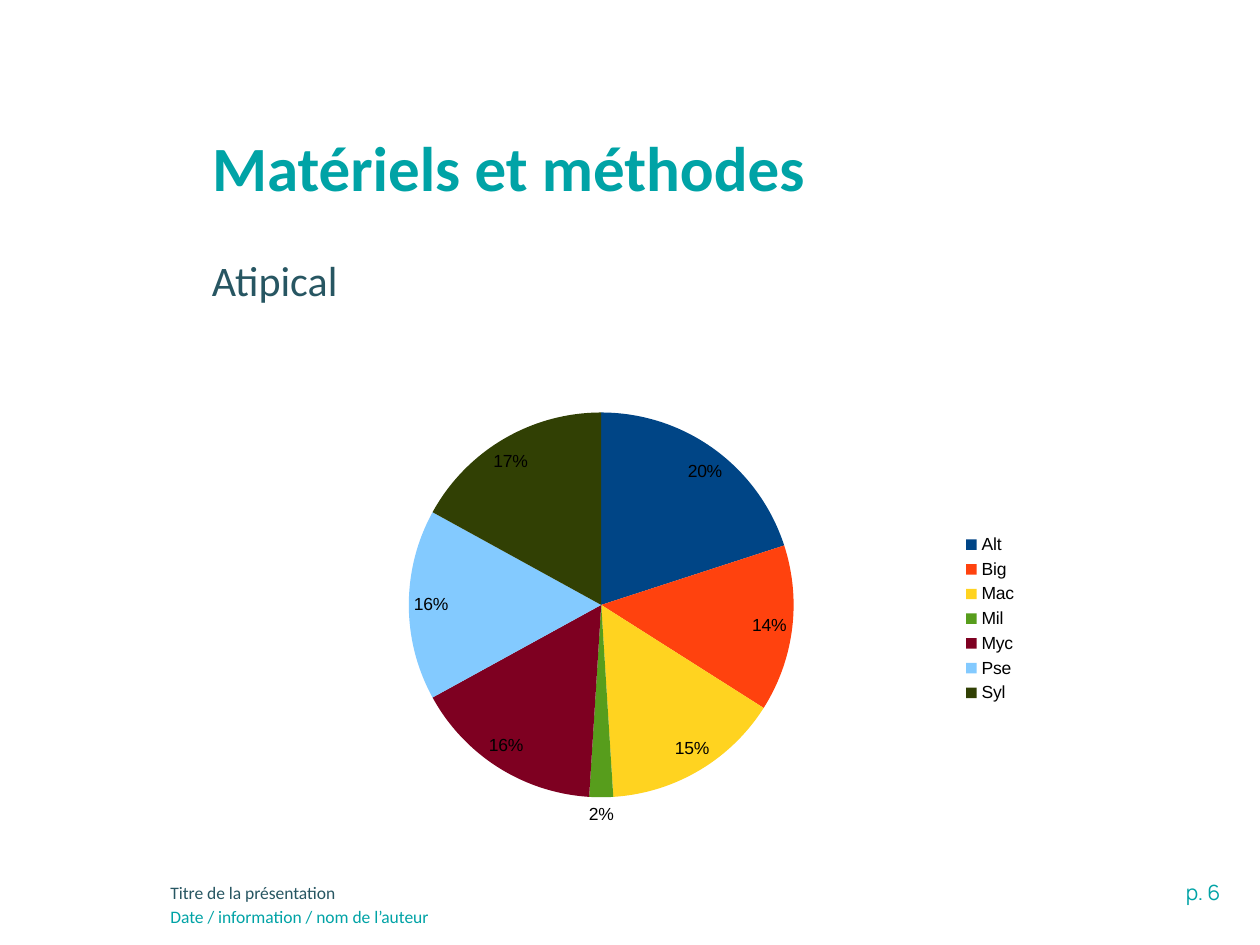
from lxml import etree
from pptx import Presentation, util as u
from pptx.chart.data import CategoryChartData
from pptx.dml.color import RGBColor
from pptx.enum import chart as ch, text
from pptx.oxml import ns

PX = 914400 // 126
TEAL, SLATE, BLACK = "00A3A6", "275662", "000000"
SPECIES = [("Alt", 20, "004586"), ("Big", 14, "FF420E"), ("Mac", 15, "FFD320"),
           ("Mil", 2, "579D1C"), ("Myc", 16, "7E0021"), ("Pse", 16, "83CAFF"),
           ("Syl", 17, "314004")]


def px(value):
    return u.Emu(value * PX)


def style_font(font, size, color, name="Calibri", bold=False):
    font.size, font.name, font.bold = u.Pt(size), name, bold
    font.color.rgb = RGBColor.from_string(color)


def write(shape, box, content, size, color, name="Calibri", bold=False,
          align=text.PP_ALIGN.LEFT, inset=(0, 0)):
    """Place a text shape and fill it with one formatted run."""
    shape.left, shape.top, shape.width, shape.height = map(px, box)
    frame = shape.text_frame
    frame.word_wrap = True
    frame.auto_size = text.MSO_AUTO_SIZE.NONE
    frame.vertical_anchor = text.MSO_ANCHOR.TOP
    frame.margin_left = frame.margin_right = u.Inches(inset[0])
    frame.margin_top = frame.margin_bottom = u.Inches(inset[1])
    paragraph = frame.paragraphs[0]
    paragraph.alignment = align
    run = paragraph.add_run()
    run.text = content
    style_font(run.font, size, color, name, bold)


def add_text(slide, box, *args, **options):
    write(slide.shapes.add_textbox(*map(px, box)), box, *args, **options)


def set_layout(element, before, inner=False, **fractions):
    """Give a chart part a manual position, in fractions of the chart."""
    for old in element.findall(ns.qn("c:layout")):
        element.remove(old)
    layout = etree.Element(ns.qn("c:layout"))
    manual = etree.SubElement(layout, ns.qn("c:manualLayout"))
    entries = [("layoutTarget", "inner")] if inner else []
    entries += [("xMode", "edge"), ("yMode", "edge"), *fractions.items()]
    for tag, value in entries:
        etree.SubElement(manual, ns.qn("c:" + tag)).set("val", str(value))
    element.find(ns.qn(before)).addprevious(layout)


def add_pie(slide, box):
    data = CategoryChartData()
    data.categories = [name for name, _, _ in SPECIES]
    data.add_series("Series 1", [value for _, value, _ in SPECIES])
    chart = slide.shapes.add_chart(ch.XL_CHART_TYPE.PIE, *map(px, box), data).chart
    chart.has_title = False
    style_font(chart.font, 10, BLACK, "Arial")

    # Slices
    plot = chart.plots[0]
    plot.vary_by_categories = True
    for index, (_, _, color) in enumerate(SPECIES):
        point = plot.series[0].points[index]
        point.format.fill.solid()
        point.format.fill.fore_color.rgb = RGBColor.from_string(color)
        point.format.line.fill.background()

    # Percent labels
    labels = plot.series[0].data_labels
    labels.show_percentage, labels.show_value = True, False
    labels.number_format, labels.number_format_is_linked = "0%", False
    labels.position = ch.XL_LABEL_POSITION.BEST_FIT
    style_font(labels.font, 10, BLACK, "Arial")

    # Legend and plot position
    chart.has_legend = True
    legend = chart.legend
    legend.position = ch.XL_LEGEND_POSITION.RIGHT
    legend.include_in_layout = False
    style_font(legend.font, 10, BLACK, "Arial")
    set_layout(legend._element, "c:overlay", x=0.91, y=0.3)
    set_layout(plot._element.getparent(), "c:pieChart", inner=True,
               x=0.215, y=0.037, w=0.485, h=0.863)


def main():
    presentation = Presentation()
    presentation.slide_width, presentation.slide_height = u.Inches(10), u.Inches(7.5)
    slide = presentation.slides.add_slide(presentation.slide_layouts[5])

    # Footer
    inset = (0.1, 0.05)
    add_text(slide, (946, 873, 287, 38), "p. 6", 12, TEAL, "Manrope",
             align=text.PP_ALIGN.RIGHT, inset=inset)
    for top, content, color in [(876, "Titre de la présentation", SLATE),
                                (900, "Date / information / nom de l’auteur", TEAL)]:
        add_text(slide, (158, top, 925, 33), content, 10, color, inset=inset)

    # Title and subtitle
    write(slide.shapes.title, (212, 129, 1056, 73), "Matériels et méthodes", 36, TEAL,
          bold=True, align=text.PP_ALIGN.JUSTIFY)
    add_text(slide, (212, 255, 897, 210), "Atipical", 24, SLATE,
             align=text.PP_ALIGN.JUSTIFY)

    # Pie chart
    add_pie(slide, (238, 396, 794, 446))
    presentation.save("out.pptx")


main()
